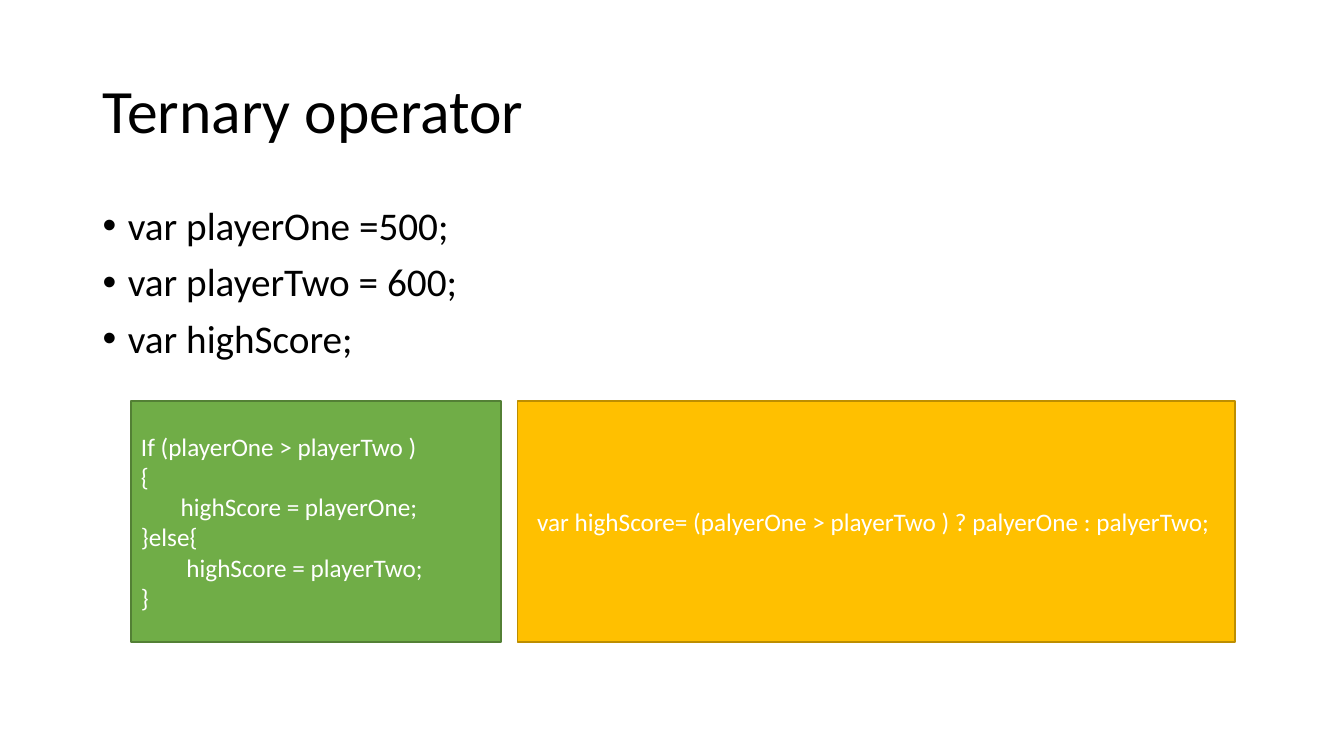
"""Build the slide that introduces the ternary operator."""
from dataclasses import dataclass
from typing import Optional

from lxml.etree import SubElement
from pptx import Presentation
from pptx.dml.color import RGBColor
from pptx.enum.shapes import MSO_SHAPE as Shape
from pptx.enum.text import MSO_ANCHOR as Anchor, PP_ALIGN as Align
from pptx.oxml.ns import qn
from pptx.util import Pt

PX = 9144
PAGE_WIDTH, PAGE_HEIGHT = 1333, 750
BULLET_INDENT = 25
FONT = "Calibri"
BLACK = RGBColor(0x00, 0x00, 0x00)
WHITE = RGBColor(0xFF, 0xFF, 0xFF)
GREEN = RGBColor(0x70, 0xAD, 0x47)
DARK_GREEN = RGBColor(0x53, 0x80, 0x35)
GOLD = RGBColor(0xFF, 0xC0, 0x00)
DARK_GOLD = RGBColor(0xBD, 0x8E, 0x00)


@dataclass(frozen=True)
class Block:
    """Text block with its place in px and its look."""
    left: int
    top: int
    width: int
    height: int
    lines: tuple[str, ...]
    size: int
    color: RGBColor = WHITE
    anchor: Anchor = Anchor.MIDDLE
    align: Align = Align.LEFT
    line_spacing: float = 1.0
    gap: int = 0
    bulleted: bool = False
    fill: Optional[RGBColor] = None
    outline: Optional[RGBColor] = None


BLOCKS = (
    Block(92, 40, 1150, 145, ("Ternary operator",), 44, BLACK, line_spacing=0.9),
    Block(92, 200, 1150, 476,
          ("var playerOne =500;", "var playerTwo = 600;", "var highScore;"),
          28, BLACK, Anchor.TOP, line_spacing=0.9, gap=10, bulleted=True),
    Block(130, 398, 367, 239,
          ("If (playerOne > playerTwo )",
           "{",
           "       highScore = playerOne;",
           "}else{",
           "        highScore = playerTwo;",
           "}"),
          18, fill=GREEN, outline=DARK_GREEN),
    Block(513, 398, 712, 239,
          ("var highScore= (palyerOne > playerTwo ) ? palyerOne : palyerTwo; ",),
          18, align=Align.CENTER, fill=GOLD, outline=DARK_GOLD),
)


def apply_format(target: object, values: dict[str, object]) -> None:
    """Set each named attribute on the target."""
    for name, value in values.items():
        setattr(target, name, value)


def add_bullet(para: object) -> None:
    """Give the paragraph a hanging round bullet."""
    properties = para._p.get_or_add_pPr()
    properties.set("marL", str(BULLET_INDENT * PX))
    properties.set("indent", str(-BULLET_INDENT * PX))
    SubElement(properties, qn("a:buFont"), typeface="Arial")
    SubElement(properties, qn("a:buChar"), char="•")


def add_box(page: object, block: Block) -> object:
    """Add a filled rectangle, or a text box when the block has no fill."""
    place = [length * PX for length in (block.left, block.top, block.width, block.height)]
    if block.fill is None:
        return page.shapes.add_textbox(*place)
    box = page.shapes.add_shape(Shape.RECTANGLE, *place)
    box.shadow.inherit = False
    box.fill.solid()
    box.fill.fore_color.rgb = block.fill
    box.line.color.rgb = block.outline
    box.line.width = Pt(1)
    return box


def draw_block(page: object, block: Block) -> None:
    """Draw the block and write its lines."""
    frame = add_box(page, block).text_frame
    apply_format(frame, {"word_wrap": True, "vertical_anchor": block.anchor})
    for index, line in enumerate(block.lines):
        para = frame.add_paragraph() if index else frame.paragraphs[0]
        if block.bulleted:
            add_bullet(para)
        apply_format(para, {"alignment": block.align,
                            "line_spacing": block.line_spacing,
                            "space_before": Pt(block.gap if index else 0)})
        span = para.add_run()
        span.text = line
        apply_format(span.font, {"name": FONT, "size": Pt(block.size)})
        span.font.color.rgb = block.color


def main() -> None:
    """Build and save the deck."""
    deck = Presentation()
    apply_format(deck, {"slide_width": PAGE_WIDTH * PX, "slide_height": PAGE_HEIGHT * PX})
    page = deck.slides.add_slide(deck.slide_layouts[6])
    for block in BLOCKS:
        draw_block(page, block)
    deck.save("out.pptx")


if __name__ == "__main__":
    main()
